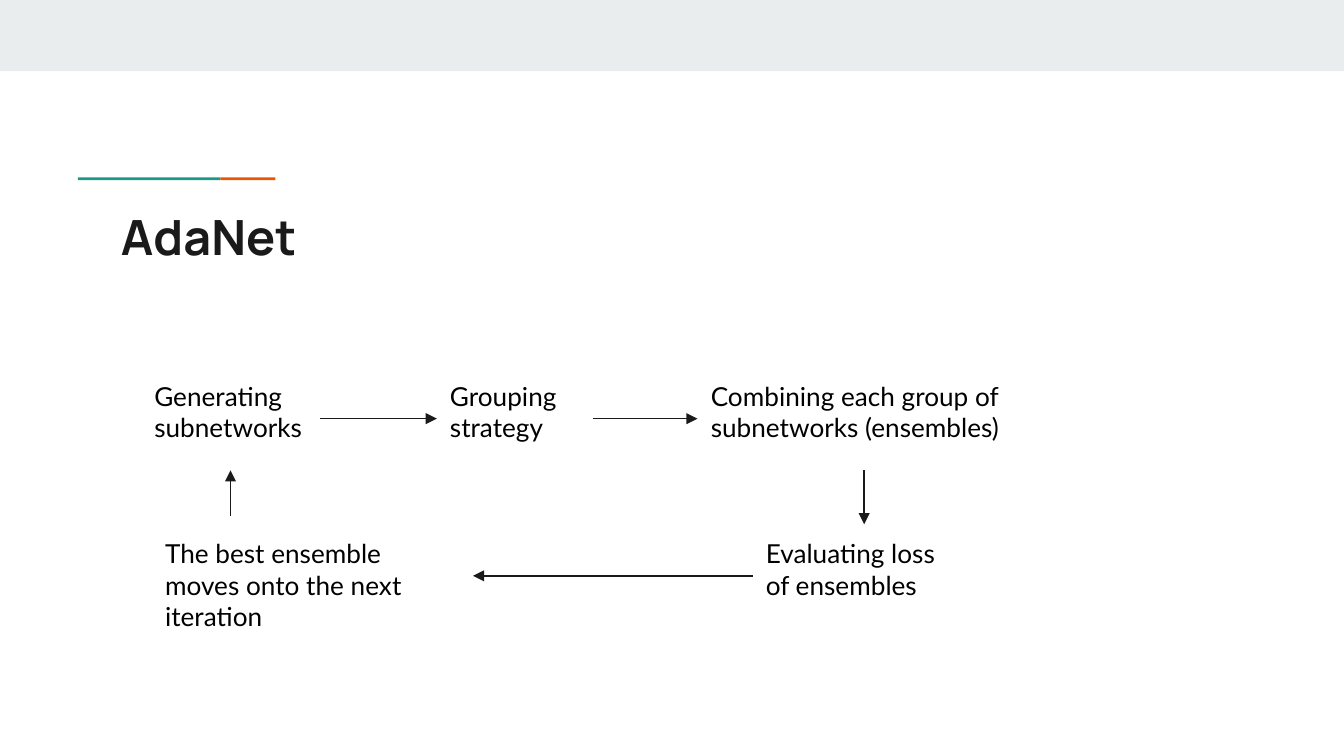
from lxml import etree
from pptx import Presentation, util as u
from pptx.dml.color import RGBColor
from pptx.enum import shapes, text
from pptx.oxml import ns

COLORS = {"band": "E9EDEE", "teal": "1A9988", "orange": "EB5600",
          "ink": "1A1A1A", "black": "000000"}

# Widescreen slide, 16:9
deck = Presentation()
deck.slide_width, deck.slide_height = u.Inches(10), u.Inches(10 * 9 / 16)
slide = deck.slides.add_slide(deck.slide_layouts[5])


def write(holder, words, *, size, font, color, bold=False):
    frame = holder.text_frame
    frame.word_wrap = True
    frame.auto_size = text.MSO_AUTO_SIZE.NONE
    frame.vertical_anchor = text.MSO_ANCHOR.TOP
    frame.margin_left = frame.margin_right = u.Inches(0.1)
    frame.margin_top = frame.margin_bottom = u.Inches(0.1)
    line = frame.paragraphs[0]
    line.alignment = text.PP_ALIGN.LEFT
    run = line.add_run()
    run.text = words
    run.font.size, run.font.name, run.font.bold = u.Pt(size), font, bold
    run.font.color.rgb = RGBColor.from_string(COLORS[color])


# Top band and two-colour accent rule
for color, *box in [("band", 0, 0, 10, 0.53),
                    ("teal", 0.58, 1.32, 1.06, 0.02),
                    ("orange", 1.64, 1.32, 0.41, 0.02)]:
    bar = slide.shapes.add_shape(shapes.MSO_SHAPE.RECTANGLE, *map(u.Inches, box))
    bar.shadow.inherit = False
    bar.fill.solid()
    bar.fill.fore_color.rgb = RGBColor.from_string(COLORS[color])
    bar.line.fill.background()

# Title
title = slide.shapes.title
title.left, title.top, title.width, title.height = map(u.Inches, (0.8, 1.44, 8.41, 0.59))
write(title, "AdaNet", size=26, font="Manrope", color="ink", bold=True)

# Steps of the cycle, on two rows: left, row top, width
upper, lower, step_height = 2.73, 3.9, 0.77
steps = {
    "Generating subnetworks": (1.05, upper, 1.33),
    "Grouping strategy": (3.25, upper, 1.16),
    "Combining each group of subnetworks (ensembles)": (5.19, upper, 2.48),
    "Evaluating loss of ensembles": (5.6, lower, 1.66),
    "The best ensemble moves onto the next iteration": (1.13, lower, 2.39),
}
for words, (left, top, width) in steps.items():
    step = slide.shapes.add_textbox(*map(u.Inches, (left, top, width, step_height)))
    write(step, words, size=14, font="Lato", color="black")

# Arrows run from the edge of one step to the edge of the next
generate, group, combine, evaluate, best = steps.values()
upper_mid, lower_mid = upper + step_height / 2, lower + step_height / 2
upper_end = upper + step_height
combine_mid = combine[0] + combine[2] / 2
generate_mid = generate[0] + generate[2] / 2
arrows = [
    (generate[0] + generate[2], upper_mid, group[0], upper_mid),
    (group[0] + group[2], upper_mid, combine[0], upper_mid),
    (combine_mid, upper_end, combine_mid, lower),
    (evaluate[0], lower_mid, best[0] + best[2], lower_mid),
    (generate_mid, lower - 0.06, generate_mid, upper_end),
]
for ends in arrows:
    arrow = slide.shapes.add_connector(shapes.MSO_CONNECTOR.STRAIGHT, *map(u.Inches, ends))
    arrow.line.width = u.Pt(0.75)
    arrow.line.color.rgb = RGBColor.from_string(COLORS["ink"])
    etree.SubElement(arrow.line._get_or_add_ln(), ns.qn("a:tailEnd"), type="triangle")
    etree.SubElement(arrow._element.spPr, ns.qn("a:effectLst"))

deck.save("out.pptx")
